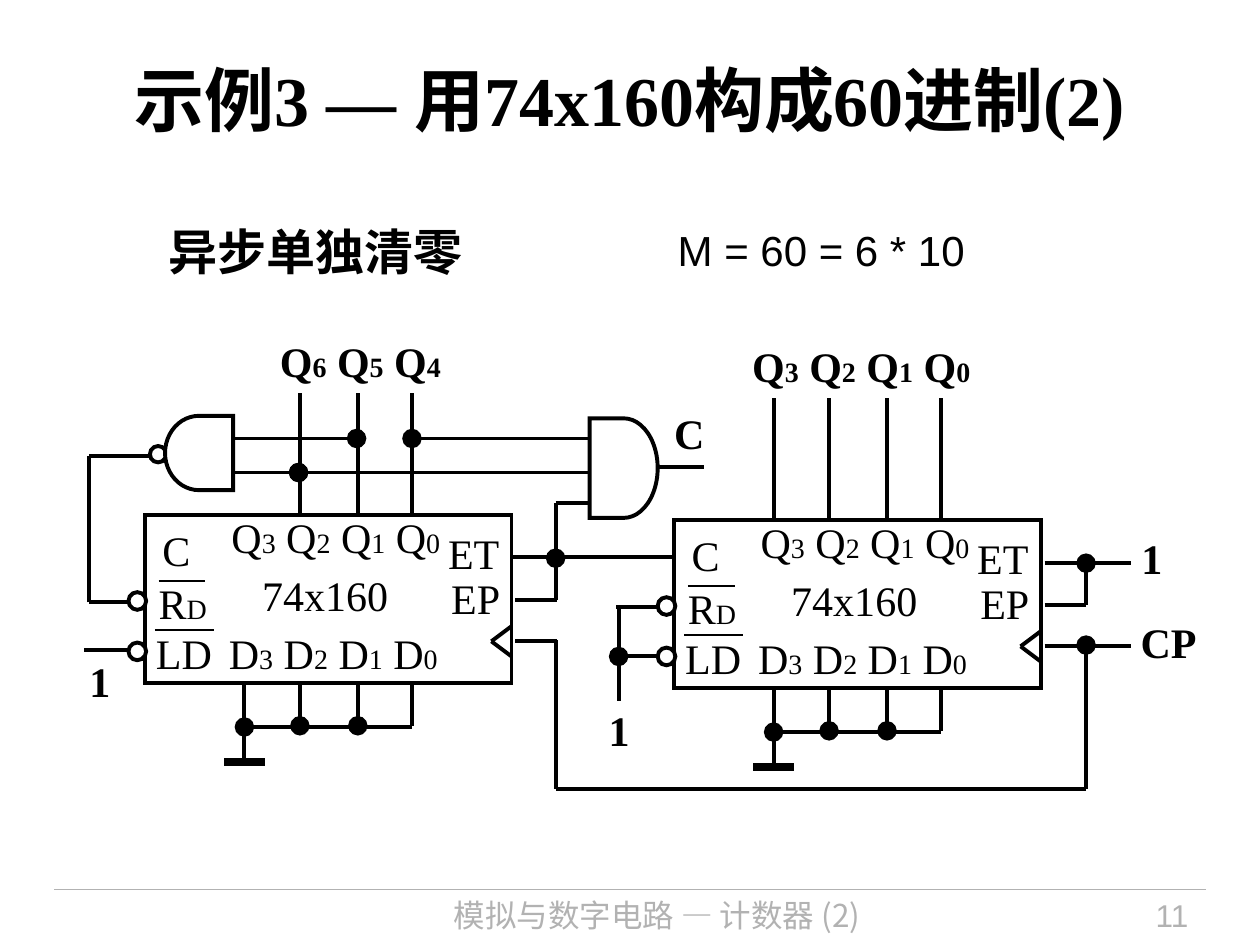
import pptx
import pptx.util
import pptx.dml.color
import pptx.enum.shapes
import pptx.enum.text
import pptx.oxml.ns
from lxml import etree

Inches = pptx.util.Inches
SHAPES = pptx.enum.shapes.MSO_SHAPE
ALIGN = pptx.enum.text.PP_ALIGN
ANCHOR = pptx.enum.text.MSO_ANCHOR
FIT = pptx.enum.text.MSO_AUTO_SIZE
qn = pptx.oxml.ns.qn

SERIF, SANS, CHINESE = "Times New Roman", "Arial", "Noto Sans CJK SC"
BLACK, WHITE, GRAY = "000000", "FFFFFF", "B2B2B2"
BIT_WIRES = (0.79, 1.23, 1.69, 2.12)


def color(value):
    return pptx.dml.color.RGBColor.from_string(value)


def bits(letter, digits):
    """Label such as Q3 Q2, with a bar between full-size and small parts."""
    return "| ".join(f"{letter}|{digit}" for digit in digits)


class Diagram:
    """Holds the slide and the style of its lines, shapes and labels."""

    def __init__(self, slide):
        self.slide = slide
        self.line_width = 2.25
        self.small_size = 16

    def text(self, left, top, width, height, content, size=24, font=SERIF,
             ink=BLACK, bold=False, align=ALIGN.CENTER, anchor=ANCHOR.MIDDLE,
             wrap=False, fit=FIT.SHAPE_TO_FIT_TEXT, margins=(0.1, 0.05)):
        """Every second part of content, split at bars, is small."""
        shape = self.slide.shapes.add_textbox(
            Inches(left), Inches(top), Inches(width), Inches(height))
        frame = shape.text_frame
        across, down = map(Inches, margins)
        frame_format = {
            "margin_left": across, "margin_right": across,
            "margin_top": down, "margin_bottom": down,
            "word_wrap": wrap, "auto_size": fit, "vertical_anchor": anchor}
        for name, value in frame_format.items():
            setattr(frame, name, value)
        paragraph = frame.paragraphs[0]
        paragraph.alignment = align
        for index, part in enumerate(content.split("|")):
            run = paragraph.add_run()
            run.text = part
            part_size = self.small_size if index % 2 else size
            font_format = {"size": pptx.util.Pt(part_size),
                           "name": font, "bold": bold}
            for name, value in font_format.items():
                setattr(run.font, name, value)
            run.font.color.rgb = color(ink)
            east_asian = etree.SubElement(run._r.get_or_add_rPr(), qn("a:ea"))
            east_asian.set("typeface", CHINESE)
        return paragraph

    def label(self, left, top, width, content, bold=False):
        """Pin or bus name, with narrow margins so that it stays on one line."""
        self.text(left, top, width, 0.5, content, bold=bold, margins=(0.04, 0.05))

    def signal(self, left, top, width, content):
        paragraph = self.text(left, top, width, 0.36, content, bold=True,
                              anchor=ANCHOR.TOP, margins=(0, 0))
        paragraph.line_spacing = 0.9

    def line(self, x1, y1, x2, y2, dot=None, width=None, ink=BLACK):
        """dot is headEnd or tailEnd, for a junction at the start or the end."""
        connector = self.slide.shapes.add_connector(
            pptx.enum.shapes.MSO_CONNECTOR.STRAIGHT,
            Inches(x1), Inches(y1), Inches(x2), Inches(y2))
        connector.line.width = pptx.util.Pt(width or self.line_width)
        connector.line.color.rgb = color(ink)
        if dot:
            end = etree.SubElement(connector.line._get_or_add_ln(), qn("a:" + dot))
            for name, value in {"type": "oval", "w": "lg", "len": "lg"}.items():
                end.set(name, value)
        etree.SubElement(connector._element.spPr, qn("a:effectLst"))

    def shape(self, kind, left, top, width, height, fill=WHITE, rotation=0):
        shape = self.slide.shapes.add_shape(
            kind, Inches(left), Inches(top), Inches(width), Inches(height))
        shape.shadow.inherit = False
        shape.rotation = rotation
        shape.line.color.rgb = color(BLACK)
        shape.line.width = pptx.util.Pt(self.line_width)
        corner = etree.SubElement(shape.line._get_or_add_ln(), qn("a:miter"))
        corner.set("lim", "800000")
        if fill:
            shape.fill.solid()
            shape.fill.fore_color.rgb = color(fill)
        else:
            shape.fill.background()

    def counter(self, left, top):
        """Counter chip with pin names, clock mark and grounded inputs."""
        pin_names = [
            (0.59, -0.08, 1.85, bits("Q", "3210")), (0.04, 0.02, 0.42, "C"),
            (2.31, 0.05, 0.6, "ET"), (2.33, 0.4, 0.59, "EP"),
            (0.83, 0.38, 1.2, "74x160"), (0.01, 0.44, 0.58, "R|D"),
            (-0.01, 0.84, 0.64, "LD"), (0.57, 0.84, 1.85, bits("D", "3210"))]
        for x, y, width, name in pin_names:
            self.label(left + x, top + y, width, name)
        for x, y, length in [(0.11, 0.52, 0.37), (0.08, 0.91, 0.47)]:
            self.line(left + x, top + y, left + x + length, top + y, width=1.5)
        self.shape(SHAPES.RECTANGLE, left, top, 2.91, 1.33, fill=None)
        for y in (0.61, 1.01):
            self.shape(SHAPES.OVAL, left - 0.13, top + y, 0.14, 0.14)
        for y in (0.88, 1.12):
            self.line(left + 2.91, top + y, left + 2.75, top + 1)

        ground_x, ground_y, bus_y = left + BIT_WIRES[0], top + 1.96, top + 1.68
        self.line(ground_x, ground_y, ground_x, top + 1.35)
        for x, dot in zip(BIT_WIRES[1:], ("headEnd", "headEnd", None)):
            self.line(left + x, bus_y - 0.01, left + x, top + 1.34, dot)
        self.line(ground_x, bus_y, left + BIT_WIRES[-1], bus_y, "headEnd")
        self.line(ground_x - 0.16, ground_y, ground_x + 0.16, ground_y, width=4.5)

    def outputs(self, left, top, wires):
        for x in wires:
            self.line(left + x, top, left + x, top - 0.97)


def draw_frame(diagram):
    """Title, headings and footer."""
    diagram.line(0.43, 7.06, 9.57, 7.06, width=0.75, ink=GRAY)
    footer = {"size": 18, "ink": GRAY, "anchor": ANCHOR.TOP,
              "wrap": True, "fit": FIT.NONE}
    diagram.text(2.4, 7.06, 5.63, 0.44, "模拟与数字电路 — 计数器 (2)",
                 font=CHINESE, **footer)
    diagram.text(8.2, 7.06, 1.33, 0.44, "11", font=SANS,
                 align=ALIGN.RIGHT, **footer)
    diagram.text(0.5, 0.16, 9, 1.25, "示例3 — 用74x160构成60进制(2)", size=40,
                 bold=True, wrap=True, fit=FIT.NONE)
    heading = {"font": SANS, "align": ALIGN.LEFT, "anchor": ANCHOR.TOP}
    diagram.text(1.24, 1.71, 2.53, 0.57, "异步单独清零", size=28, bold=True, **heading)
    diagram.text(5.28, 1.73, 2.48, 0.5, "M = 60 = 6 * 10", **heading)


def draw_circuit(diagram):
    wires = [
        # Tens counter: load, clear, enables and clock
        (0.67, 5.16, 1.15, 5.16), (0.71, 4.78, 1.14, 4.78),
        (0.71, 4.78, 0.71, 3.62), (0.71, 3.62, 1.18, 3.62),
        (4.05, 4.42, 5.35, 4.42), (4.09, 4.76, 4.42, 4.76),
        (4.41, 4.76, 4.41, 4.43, "tailEnd"), (4.09, 5.09, 4.42, 5.09),
        # Units counter: clear, load, enables and clock
        (4.89, 4.82, 5.34, 4.82), (4.91, 5.21, 5.34, 5.21, "headEnd"),
        (4.91, 5.56, 4.91, 4.8), (8.29, 4.47, 8.98, 4.47),
        (8.29, 4.8, 8.62, 4.8), (8.62, 4.8, 8.62, 4.47, "tailEnd"),
        (8.29, 5.13, 8.98, 5.13),
        # Shared clock
        (8.62, 6.26, 8.62, 5.12, "tailEnd"), (4.41, 6.26, 8.62, 6.26),
        (4.41, 6.26, 4.41, 5.08),
        # Gate inputs and carry output
        (1.85, 3.75, 2.37, 3.75, "tailEnd"), (1.85, 3.48, 2.83, 3.48, "tailEnd"),
        (2.37, 3.75, 4.68, 3.75, "headEnd"), (3.27, 3.48, 4.68, 3.48, "headEnd"),
        (4.41, 3.99, 4.68, 3.99), (4.41, 3.99, 4.41, 4.43),
        (5.23, 3.71, 5.59, 3.71)]
    for wire in wires:
        diagram.line(*wire)

    diagram.outputs(1.15, 4.09, BIT_WIRES[1:])
    diagram.outputs(5.35, 4.13, BIT_WIRES)
    for left, top in [(1.15, 4.09), (5.35, 4.13)]:
        diagram.counter(left, top)

    diagram.shape(SHAPES.OVAL, 1.19, 3.54, 0.13, 0.13)
    diagram.shape(SHAPES.FLOWCHART_DELAY, 1.31, 3.3, 0.54, 0.59, rotation=180)
    diagram.shape(SHAPES.FLOWCHART_DELAY, 4.68, 3.32, 0.54, 0.79)

    diagram.label(2.12, 2.61, 1.48, bits("Q", "654"), bold=True)
    diagram.label(5.87, 2.65, 1.93, bits("Q", "3210"), bold=True)
    signals = [(0.71, 5.25, 0.16, "1"), (4.83, 5.64, 0.16, "1"),
               (9.06, 4.27, 0.16, "1"), (8.98, 4.94, 0.59, "CP"),
               (5.35, 3.28, 0.24, "C")]
    for signal in signals:
        diagram.signal(*signal)


def main():
    presentation = pptx.Presentation()
    presentation.slide_width = Inches(10)
    presentation.slide_height = Inches(7.5)
    slide = presentation.slides.add_slide(presentation.slide_layouts[6])
    diagram = Diagram(slide)
    draw_frame(diagram)
    draw_circuit(diagram)
    presentation.save("out.pptx")


if __name__ == "__main__":
    main()
